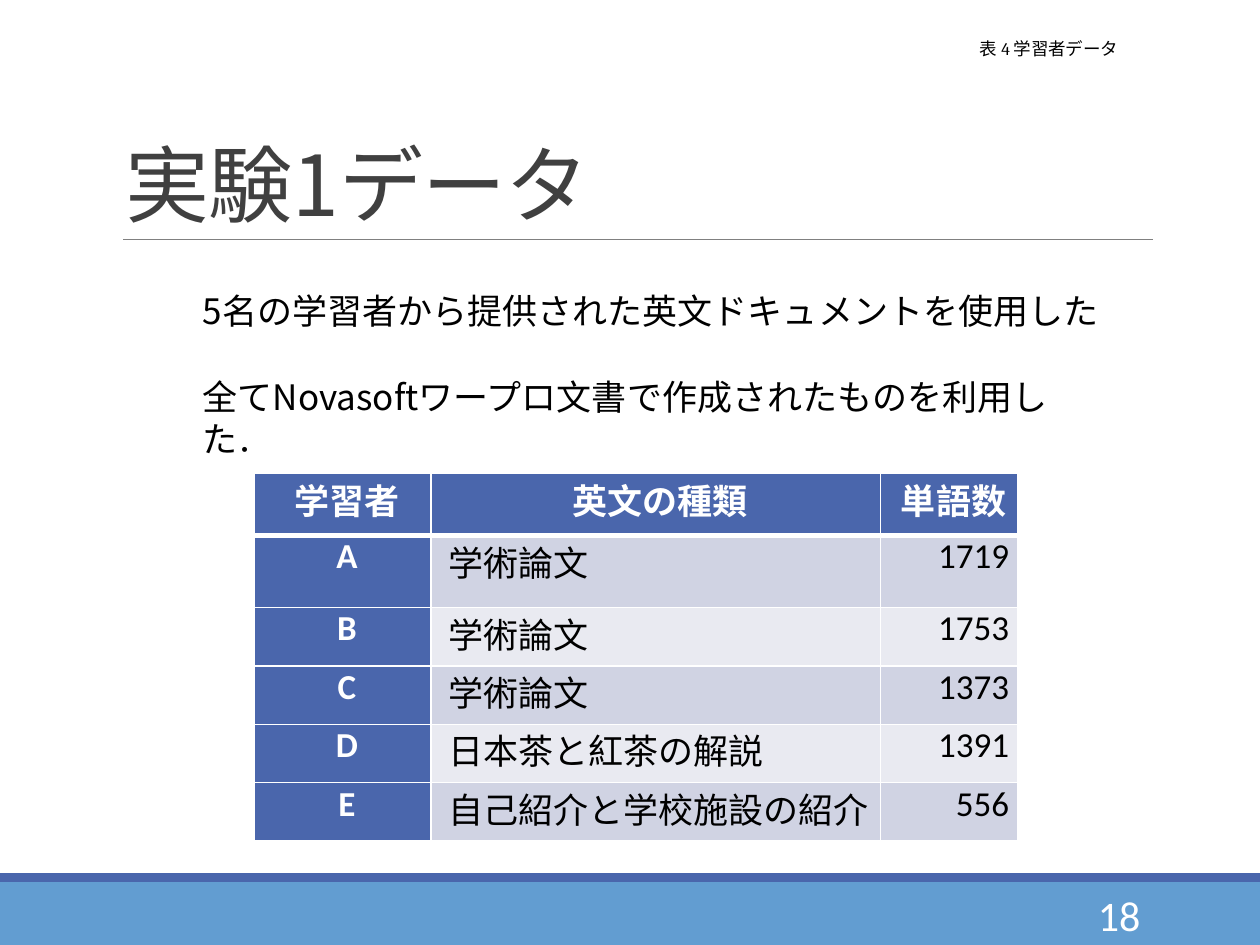
from dataclasses import dataclass

from lxml import etree
from pptx import Presentation
from pptx.dml.color import RGBColor
from pptx.enum.shapes import MSO_CONNECTOR, MSO_SHAPE
from pptx.enum.text import MSO_ANCHOR as Anchor, PP_ALIGN as Align
from pptx.oxml.ns import qn
from pptx.util import Pt

WHITE = RGBColor(0xFF, 0xFF, 0xFF)
BLACK = RGBColor(0, 0, 0)
DARK = RGBColor(0x40, 0x40, 0x40)
GRAY = RGBColor(0x80, 0x80, 0x80)
NAVY = RGBColor(0x4A, 0x66, 0xAC)
SKY = RGBColor(0x62, 0x9D, 0xD1)
BANDS = (RGBColor(0xD0, 0xD3, 0xE3), RGBColor(0xE9, 0xEA, 0xF1))
GOTHIC, LATIN, SERIF = "Noto Sans CJK JP", "Calibri", "Cambria"


@dataclass
class Box:
    left: float
    top: float
    width: float
    height: float

    def emu(self) -> tuple:
        return Pt(self.left), Pt(self.top), Pt(self.width), Pt(self.height)


@dataclass
class Learner:
    name: str
    kind: str
    words: int


LEARNERS = [
    Learner("A", "学術論文", 1719),
    Learner("B", "学術論文", 1753),
    Learner("C", "学術論文", 1373),
    Learner("D", "日本茶と紅茶の解説", 1391),
    Learner("E", "自己紹介と学校施設の紹介", 556),
]
HEADERS = ("学習者", "英文の種類", "単語数")
COL_WIDTHS = (100.8, 257, 78.5)
ROW_HEIGHTS = (35.3, 41.1) + (33.4,) * 4


def add_run(p, text: str, *, size: float = 20, font: str = GOTHIC,
            color: RGBColor = BLACK, bold: bool = False, spacing: float = 0) -> None:
    r = p.add_run()
    r.text = text
    f = r.font
    f.size, f.name, f.bold = Pt(size), font, bold
    f.color.rgb = color
    rPr = r._r.get_or_add_rPr()
    if spacing:
        rPr.set("spc", str(int(spacing * 100)))
    rPr.find(qn("a:latin")).addnext(etree.Element(qn("a:ea"), typeface=GOTHIC))


def set_indent(p, points: float) -> None:
    pPr = p._p.get_or_add_pPr()
    pPr.set("marL", "0")
    pPr.set("indent", str(Pt(points)))


def add_text(s, box: Box, text: str, *, align=Align.LEFT, anchor=Anchor.TOP,
             wrap: bool = True, line_spacing=None, indent: float = 0, **fmt):
    tf = s.shapes.add_textbox(*box.emu()).text_frame
    tf.word_wrap, tf.vertical_anchor = wrap, anchor
    p = tf.paragraphs[0]
    p.alignment, p.line_spacing = align, line_spacing
    if indent:
        set_indent(p, indent)
    add_run(p, text, **fmt)
    return p


def add_band(s, box: Box, color: RGBColor) -> None:
    sp = s.shapes.add_shape(MSO_SHAPE.RECTANGLE, *box.emu())
    sp.shadow.inherit = False
    sp.fill.solid()
    sp.fill.fore_color.rgb = color
    sp.line.fill.background()


def add_rule(s, x1: float, x2: float, y: float) -> None:
    line = s.shapes.add_connector(MSO_CONNECTOR.STRAIGHT, Pt(x1), Pt(y), Pt(x2), Pt(y))
    line.line.color.rgb = GRAY
    line.line.width = Pt(0.5)
    etree.SubElement(line._element.spPr, qn("a:effectLst"))


def set_borders(cell, **widths: float) -> None:
    tcPr = cell._tc.get_or_add_tcPr()
    for side in "LRTB":
        ln = etree.SubElement(tcPr, qn(f"a:ln{side}"), w=str(Pt(widths.get(side, 1))))
        fill = etree.SubElement(ln, qn("a:solidFill"))
        etree.SubElement(fill, qn("a:srgbClr"), val=str(WHITE))


def fill_cell(cell, text: str, fill: RGBColor, align, **fmt) -> None:
    cell.margin_left = cell.margin_right = Pt(5)
    cell.margin_top = cell.margin_bottom = 0
    cell.fill.solid()
    cell.fill.fore_color.rgb = fill
    p = cell.text_frame.paragraphs[0]
    p.alignment = align
    set_indent(p, 5)
    add_run(p, text, font=LATIN, **fmt)


def add_learner_table(s, left: float, top: float) -> None:
    box = Box(left, top, sum(COL_WIDTHS), sum(ROW_HEIGHTS))
    table = s.shapes.add_table(len(ROW_HEIGHTS), len(COL_WIDTHS), *box.emu()).table
    for col, width in zip(table.columns, COL_WIDTHS):
        col.width = Pt(width)
    for row, height in zip(table.rows, ROW_HEIGHTS):
        row.height = Pt(height)
    rows = [HEADERS] + [(x.name, x.kind, str(x.words)) for x in LEARNERS]
    aligns = (Align.CENTER, Align.JUSTIFY, Align.RIGHT)
    for i, texts in enumerate(rows):
        for j, text in enumerate(texts):
            cell = table.cell(i, j)
            set_borders(cell, **({"B": 3} if i == 0 else {"T": 3} if i == 1 else {}))
            if i == 0 or j == 0:
                fill_cell(cell, text, NAVY, Align.CENTER, color=WHITE, bold=True)
            else:
                fill_cell(cell, text, BANDS[(i - 1) % 2], aligns[j])


def main() -> None:
    prs = Presentation()
    prs.slide_width, prs.slide_height = Pt(720), Pt(540)
    s = prs.slides.add_slide(prs.slide_layouts[6])

    # Footer bands and title rule
    add_band(s, Box(0, 504, 720, 36), SKY)
    add_band(s, Box(0, 499, 720, 5), NAVY)
    add_rule(s, 70.5, 658.8, 136.8)

    # Title
    add_text(s, Box(64.8, 22.3, 594, 114.5), "実験1データ", anchor=Anchor.BOTTOM,
             line_spacing=0.85, size=48, color=DARK, spacing=-0.5)

    # Learner data
    add_learner_table(s, 145.4, 270.7)

    # Page number and table caption
    add_text(s, Box(581, 508.3, 77.8, 28.8), "18", align=Align.RIGHT,
             anchor=Anchor.MIDDLE, size=24, font=LATIN, color=WHITE)
    add_text(s, Box(525, 18, 144, 19.4), "表 4 学習者データ", align=Align.CENTER,
             anchor=Anchor.MIDDLE, indent=5, size=10, font=SERIF)

    # Explanation
    add_text(s, Box(108.7, 162, 539.3, 31.7),
             "5名の学習者から提供された英文ドキュメントを使用した", wrap=False)
    p = add_text(s, Box(108.7, 211, 514, 31.7),
                 "全てNovasoftワープロ文書で作成されたものを利用した", wrap=False)
    add_run(p, "．", size=18)

    prs.save("out.pptx")


if __name__ == "__main__":
    main()
